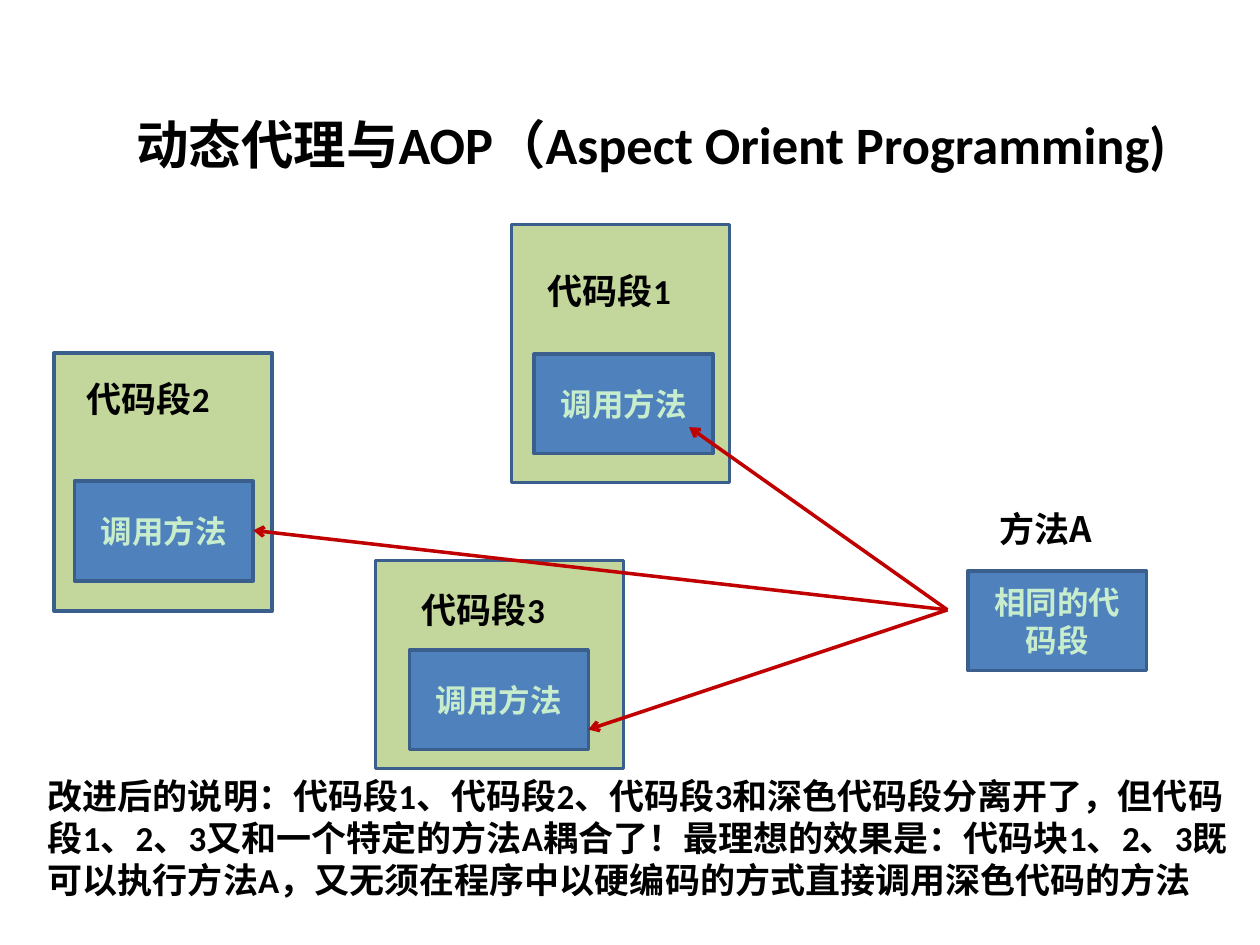
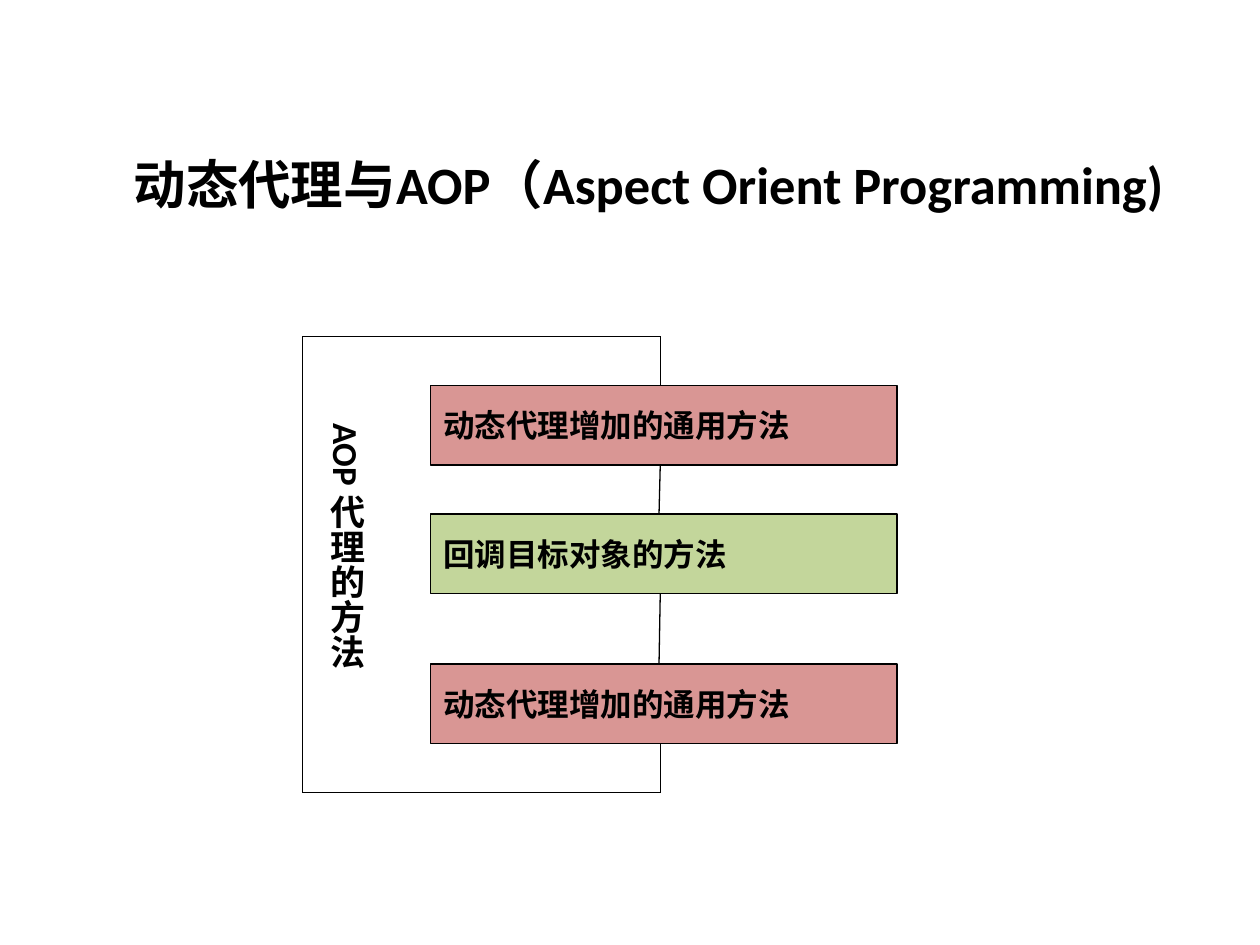
from dataclasses import dataclass
from itertools import pairwise

from lxml.etree import SubElement
from pptx import Presentation
from pptx.dml.color import RGBColor
from pptx.enum.shapes import MSO_CONNECTOR as Connector, MSO_SHAPE as Shape
from pptx.enum.text import MSO_ANCHOR as Anchor, MSO_AUTO_SIZE as AutoSize, PP_ALIGN as Align
from pptx.oxml.ns import qn
from pptx.util import Pt


@dataclass(frozen=True)
class Theme:
    background: str = "FFFFFF"
    ink: str = "000000"
    pale_text: str = "C7EDCC"
    green: str = "C3D69B"
    blue: str = "4F81BD"
    blue_edge: str = "3A5F8C"
    rose: str = "D99694"
    arrow: str = "C00000"
    latin: str = "Calibri"
    chinese: str = "Noto Sans CJK SC"
    title_size: float = 30
    label_size: float = 20
    box_size: float = 18
    thick: float = 2
    thin: float = 0.75


THEME = Theme()
TITLE = "动态代理与AOP（Aspect Orient Programming)"
Point = tuple[float, float]


@dataclass(frozen=True)
class Area:
    left: float
    top: float
    width: float
    height: float

    def emu(self) -> list[int]:
        return [Pt(v) for v in (self.left, self.top, self.width, self.height)]


@dataclass(frozen=True)
class CodeSegment:
    name: str
    panel: Area
    call: Point
    label: Point
    arrow_tip: Point


@dataclass(frozen=True)
class Step:
    text: str
    top: float
    fill: str


def write(frame, text: str, size: float, color: str = THEME.ink,
          font: str = THEME.latin, align: Align = Align.LEFT) -> None:
    frame.text = text
    frame.word_wrap = True
    for paragraph in frame.paragraphs:
        paragraph.alignment = align
        for run in paragraph.runs:
            run.font.size = Pt(size)
            run.font.bold = True
            run.font.color.rgb = RGBColor.from_string(color)
            run.font.name = font
            # East Asian typeface
            SubElement(run.font._element, qn("a:ea"), typeface=THEME.chinese)


def add_titled_slide(deck, left: float, top: float):
    slide = deck.slides.add_slide(deck.slide_layouts[5])
    slide.background.fill.solid()
    slide.background.fill.fore_color.rgb = RGBColor.from_string(THEME.background)
    title = slide.shapes.title
    title.left, title.top, title.width, title.height = Area(left, top, 612, 44).emu()
    title.text_frame.vertical_anchor = Anchor.TOP
    title.text_frame.auto_size = AutoSize.NONE
    write(title.text_frame, TITLE, THEME.title_size)
    return slide


def add_box(slide, area: Area, fill: str, edge: str, weight: float):
    box = slide.shapes.add_shape(Shape.RECTANGLE, *area.emu())
    box.shadow.inherit = False
    box.fill.solid()
    box.fill.fore_color.rgb = RGBColor.from_string(fill)
    box.line.color.rgb = RGBColor.from_string(edge)
    box.line.width = Pt(weight)
    box.text_frame.vertical_anchor = Anchor.MIDDLE
    return box


def add_method_box(slide, corner: Point, text: str) -> None:
    box = add_box(slide, Area(*corner, 102.2, 56.9), THEME.blue, THEME.blue_edge, THEME.thick)
    write(box.text_frame, text, THEME.box_size, THEME.pale_text, THEME.chinese, Align.CENTER)


def add_label(slide, area: Area, text: str, font: str = THEME.latin):
    label = slide.shapes.add_textbox(*area.emu())
    write(label.text_frame, text, THEME.label_size, font=font)
    label.text_frame.auto_size = AutoSize.SHAPE_TO_FIT_TEXT
    return label


def add_line(slide, start: Point, end: Point, color: str = THEME.ink,
             weight: float = THEME.thin, arrow: bool = False) -> None:
    line = slide.shapes.add_connector(Connector.STRAIGHT, *(Pt(v) for v in start + end))
    line.line.color.rgb = RGBColor.from_string(color)
    line.line.width = Pt(weight)
    if arrow:
        SubElement(line.line._get_or_add_ln(), qn("a:headEnd"), type="arrow")
    SubElement(line._element.spPr, qn("a:effectLst"))


SEGMENTS = [
    CodeSegment("代码段2", Area(31, 201.6, 124.6, 147.6), (42.5, 275), (42.5, 212.4), (144.7, 303.1)),
    CodeSegment("代码段1", Area(292.3, 128.2, 124.6, 147.6), (305.3, 202.3), (306, 150.5), (393.8, 244.1)),
    CodeSegment("代码段3", Area(214.6, 320.4, 141.8, 118.8), (234, 371.5), (234, 332.6), (336.2, 416.9)),
]
METHOD_POINT = (541.4, 348.5)
EXPLANATION = (
    "改进后的说明：代码段1、代码段2、代码段3和深色代码段分离开了，"
    "但代码段1、2、3又和一个特定的方法A耦合了！最理想的效果是："
    "代码块1、2、3既可以执行方法A，又无须在程序中以硬编码的方式直接调用深色代码的方法"
)
STEPS = [
    Step("动态代理增加的通用方法", 220.3, THEME.rose),
    Step("回调目标对象的方法", 293.8, THEME.green),
    Step("动态代理增加的通用方法", 379.4, THEME.rose),
]
STEP_HEIGHT = 45.4


def build_segments_slide(deck) -> None:
    slide = add_titled_slide(deck, 70.6, 60.5)

    # Code segments, each calling the method
    for segment in SEGMENTS:
        add_box(slide, segment.panel, THEME.green, THEME.blue_edge, THEME.thick)
        add_method_box(slide, segment.call, "调用方法")
        add_label(slide, Area(*segment.label, 102.2, 31.7), segment.name)

    # Arrows from method A
    for segment in SEGMENTS:
        add_line(slide, segment.arrow_tip, METHOD_POINT, THEME.arrow, THEME.thick, arrow=True)

    # Method A and the explanation
    add_method_box(slide, (553, 326.2), "相同的代码段")
    add_label(slide, Area(563.8, 286.6, 73.4, 31.7), "方法A", THEME.chinese)
    add_label(slide, Area(20.2, 439.2, 691.9, 80), EXPLANATION)


def build_proxy_slide(deck) -> None:
    slide = add_titled_slide(deck, 69.1, 83.5)

    # Steps run by the proxy
    for step in STEPS:
        area = Area(246.2, step.top, 266.4, STEP_HEIGHT)
        bar = add_box(slide, area, step.fill, THEME.ink, THEME.thin)
        write(bar.text_frame, step.text, THEME.box_size)

    # Bracket around the steps
    left, right, top, bottom = 172.8, 377.3, 192.2, 452.9
    bracket = [(right, STEPS[0].top), (right, top), (left, top), (left, bottom),
               (right, bottom), (right, STEPS[-1].top + STEP_HEIGHT)]
    for start, end in pairwise(bracket):
        add_line(slide, start, end)

    # Links between the steps
    for upper, lower in pairwise(STEPS):
        add_line(slide, (right, upper.top + STEP_HEIGHT), (right - 0.7, lower.top))

    # Vertical proxy caption
    caption = add_label(slide, Area(175, 234.7, 38.9, 193), "AOP 代理的方法")
    caption.text_frame._txBody.bodyPr.set("vert", "eaVert")


def main() -> None:
    deck = Presentation()
    deck.slide_width, deck.slide_height = Pt(720), Pt(540)
    build_segments_slide(deck)
    build_proxy_slide(deck)
    deck.save("out.pptx")


if __name__ == "__main__":
    main()
